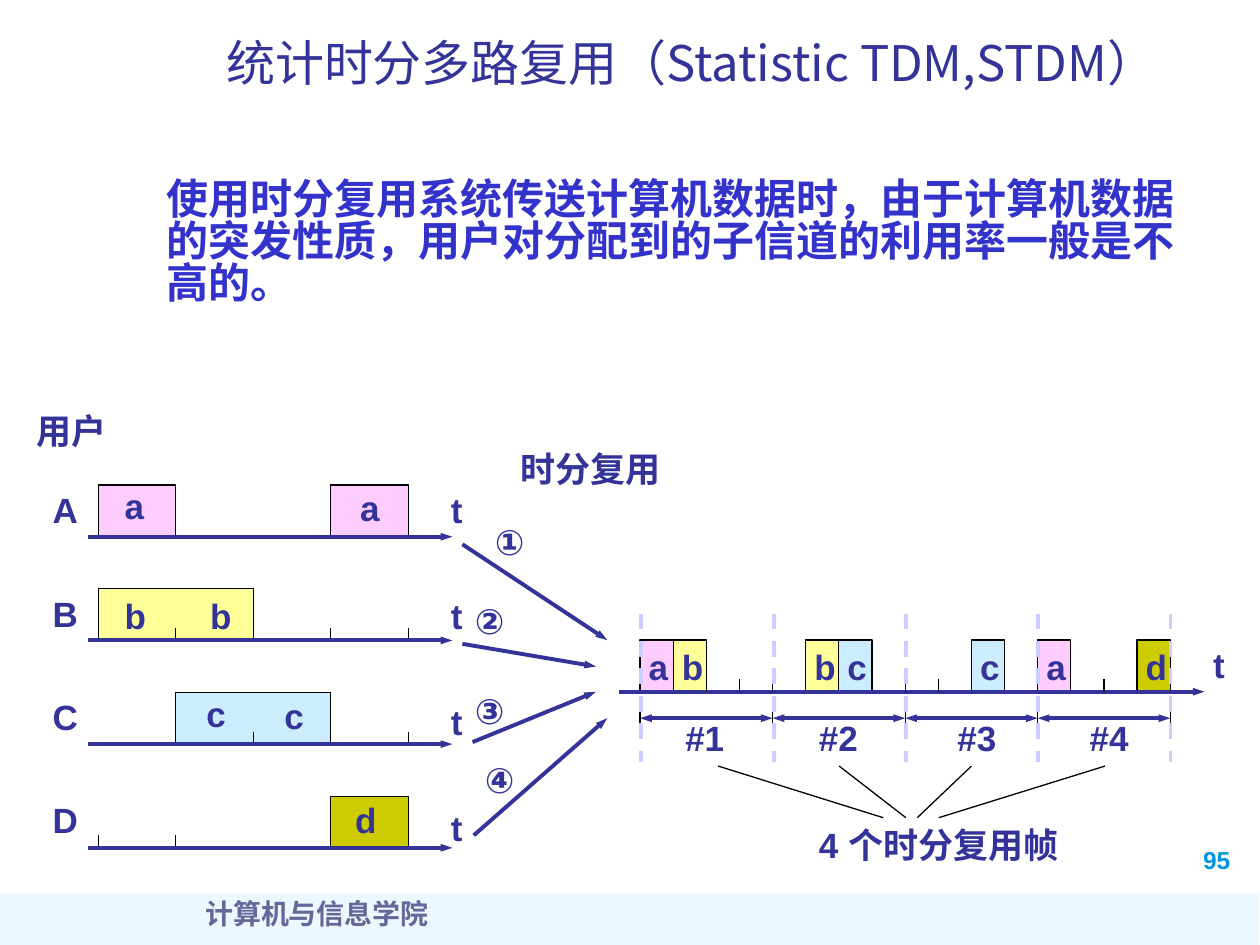
from lxml.etree import SubElement
from pptx import Presentation
from pptx.dml.color import RGBColor
from pptx.enum.dml import MSO_LINE
from pptx.enum.shapes import MSO_CONNECTOR, MSO_SHAPE
from pptx.enum.text import MSO_ANCHOR, PP_ALIGN
from pptx.oxml.ns import qn
from pptx.util import Inches, Pt

COLORS = {
    "navy": "333399", "body": "3333CC", "footer": "666699", "number": "0094DE",
    "band": "A7E2FF", "black": "000000", "divider": "CCCCFF",
    "a": "FFCCFF", "b": "FFFF99", "c": "CCECFF", "d": "CCCC00",
}
CJK = "Noto Sans CJK SC"
USER_LEFT, USER_SLOT = 0.78, 0.615
ROW_TOP, ROW_STEP = 4.26, 0.823
MUX_LEFT, MUX_SLOT, MUX_AXIS = 5.08, 0.263, 5.49
FRAME_SLOTS, FRAMES = 4, 4
BLOCK_HEIGHT = 0.41


def color(name):
    return RGBColor.from_string(COLORS[name])


def user_x(slot):
    return USER_LEFT + slot * USER_SLOT


def row_y(row):
    return ROW_TOP + row * ROW_STEP


def mux_x(slot):
    return MUX_LEFT + slot * MUX_SLOT


def add_text(page, text, left, top, width, height=0.43, size=20, font="Arial",
             ink="navy", bold=True, wrap=False, align=PP_ALIGN.LEFT, spacing=None):
    box = page.shapes.add_textbox(Inches(left), Inches(top), Inches(width), Inches(height))
    frame = box.text_frame
    frame.word_wrap = wrap
    frame.vertical_anchor = MSO_ANCHOR.TOP
    para = frame.paragraphs[0]
    para.alignment = align
    para.line_spacing = spacing
    span = para.add_run()
    span.text = text
    span.font.size = Pt(size)
    span.font.bold = bold
    span.font.name = font
    span.font.color.rgb = color(ink)
    SubElement(span.font._element, qn("a:ea"), typeface=CJK)
    return span


def add_text_shadow(span):
    properties = span.font._element
    effects = SubElement(properties, qn("a:effectLst"))
    properties.find(qn("a:solidFill")).addnext(effects)
    shadow = SubElement(effects, qn("a:outerShdw"), dist="35921", dir="2700000")
    SubElement(shadow, qn("a:srgbClr"), val="C0C0C0")


def add_line(page, start, end, ink="black", width=0.75, head=False, tail=False, dash=None):
    points = [Inches(value) for value in (*start, *end)]
    line = page.shapes.add_connector(MSO_CONNECTOR.STRAIGHT, *points)
    line.line.color.rgb = color(ink)
    line.line.width = Pt(width)
    if dash:
        line.line.dash_style = dash
    outline = line.line._get_or_add_ln()
    for tag, wanted in (("a:headEnd", head), ("a:tailEnd", tail)):
        if wanted:
            SubElement(outline, qn(tag), type="triangle", w="sm", len="med")
    SubElement(line._element.spPr, qn("a:effectLst"))


def add_arrow(page, start, end, head=False):
    add_line(page, start, end, "navy", 2.25, head=head, tail=True)


def add_tick(page, x, bottom, height=0.1):
    add_line(page, (x, bottom - height), (x, bottom))


def add_block(page, user, left, base, width):
    x, y = Inches(left), Inches(base)
    right, top = Inches(left + width), Inches(base - BLOCK_HEIGHT)
    builder = page.shapes.build_freeform(x, y)
    builder.add_line_segments([(x, top), (right, top), (right, y)], close=False)
    block = builder.convert_to_shape()
    block.shadow.inherit = False
    block.fill.solid()
    block.fill.fore_color.rgb = color(user)
    block.line.color.rgb = color("black")
    block.line.width = Pt(0.75)


def add_footer(page):
    band = page.shapes.add_shape(MSO_SHAPE.RECTANGLE, Inches(-0.01), Inches(7.09),
                                 Inches(10), Inches(0.44))
    band.shadow.inherit = False
    band.fill.solid()
    band.fill.fore_color.rgb = color("band")
    band.line.fill.background()
    SubElement(band._element.spPr.find(qn("a:solidFill"))[0], qn("a:alpha"), val="21000")
    add_text(page, "95", 9.45, 6.66, 0.59, 0.33, size=14, ink="number")
    add_text(page, "计算机与信息学院", 0.27, 7.07, 4.49, 0.5, size=16,
             font="Times New Roman", ink="footer", wrap=True, align=PP_ALIGN.CENTER)


def add_heading(page):
    title = add_text(page, "统计时分多路复用（Statistic TDM,STDM）", 1.61, 0.29, 7.75, 0.75,
                     size=28, font=CJK, bold=False, wrap=True, align=PP_ALIGN.CENTER,
                     spacing=0.83)
    add_text_shadow(title)
    add_text(page, "使用时分复用系统传送计算机数据时，由于计算机数据的突发性质，"
             "用户对分配到的子信道的利用率一般是不高的。",
             1.22, 1.39, 8.35, 1.31, size=24, font=CJK, ink="body", wrap=True, spacing=0.83)


def add_users(page):
    add_text(page, "用户", 0.19, 3.2, 0.76)
    blocks = [("a", 0, 0, 1), ("a", 0, 3, 1), ("b", 1, 0, 2), ("c", 2, 1, 2), ("d", 3, 3, 1)]
    for user, row, slot, count in blocks:
        add_block(page, user, user_x(slot), row_y(row), count * USER_SLOT)
    for row, slots in enumerate([(), (1, 3, 4), (2, 4), (0, 1, 3)]):
        for slot in slots:
            add_tick(page, user_x(slot), row_y(row))
    letters = [("a", 0.89, 3.8), ("a", 2.76, 3.81), ("b", 0.89, 4.67), ("b", 1.57, 4.67),
               ("c", 1.54, 5.45), ("c", 2.16, 5.46), ("d", 2.72, 6.29)]
    for letter, left, top in letters:
        add_text(page, letter, left, top, 0.36)
    for row, user in enumerate("ABCD"):
        add_text(page, user, 0.32, 3.83 + row * 0.82, 0.4)
        add_text(page, "t", 3.48, 3.83 + row * 0.84, 0.28)
        add_arrow(page, (0.7, row_y(row)), (3.59, row_y(row)))


def add_inputs(page):
    add_text(page, "时分复用", 4.03, 3.5, 1.31)
    inputs = [("①", (3.83, 4.08), (3.67, 4.32), (4.82, 5.08)),
              ("②", (3.67, 4.71), (3.67, 5.11), (4.73, 5.29)),
              ("③", (3.67, 5.42), (3.75, 5.89), (4.73, 5.49)),
              ("④", (3.75, 5.97), (3.76, 6.63), (4.82, 5.7))]
    for number, corner, start, end in inputs:
        add_arrow(page, start, end)
        add_text(page, number, *corner, 0.48)


def add_multiplexed(page):
    slots = {0: "a", 1: "b", 5: "b", 6: "c", 10: "c", 12: "a", 15: "d"}
    for slot, user in slots.items():
        add_block(page, user, mux_x(slot), MUX_AXIS, MUX_SLOT)
    add_arrow(page, (4.91, MUX_AXIS), (9.56, MUX_AXIS))
    add_text(page, "t", 9.53, 5.06, 0.28)
    for slot in (2, 3, 4, 8, 9, 14):
        add_tick(page, mux_x(slot), MUX_AXIS)
    for slot, user in slots.items():
        add_text(page, user, mux_x(slot) - 0.03, 5.07, 0.36)


def add_frames(page):
    for frame in range(FRAMES + 1):
        x = mux_x(frame * FRAME_SLOTS)
        add_tick(page, x, 5.8, 0.2)
        if frame < FRAMES:
            add_arrow(page, (x, 5.7), (mux_x((frame + 1) * FRAME_SLOTS), 5.7), head=True)
    leaders = [(5.34, 5.7, 7.01), (6.4, 6.66, 7.19), (7.5, 7.71, 7.28), (8.55, 8.77, 7.45)]
    for number, (left, top_x, bottom_x) in enumerate(leaders, 1):
        add_text(page, f"#{number}", left, 5.64, 0.51)
        add_line(page, (top_x, 6.08), (bottom_x, 6.49))
    add_text(page, "4 个时分复用帧", 6.4, 6.49, 2.1, wrap=True)
    for divider in range(FRAMES + 1):
        x = 5.09 + divider * 1.05
        add_line(page, (x, 4.87), (x, 6.05), "divider", 2.25, dash=MSO_LINE.DASH)


def main():
    deck = Presentation()
    deck.slide_width, deck.slide_height = Inches(10), Inches(7.5)
    page = deck.slides.add_slide(deck.slide_layouts[6])
    add_footer(page)
    add_heading(page)
    add_users(page)
    add_inputs(page)
    add_multiplexed(page)
    add_frames(page)
    deck.save("out.pptx")


if __name__ == "__main__":
    main()
